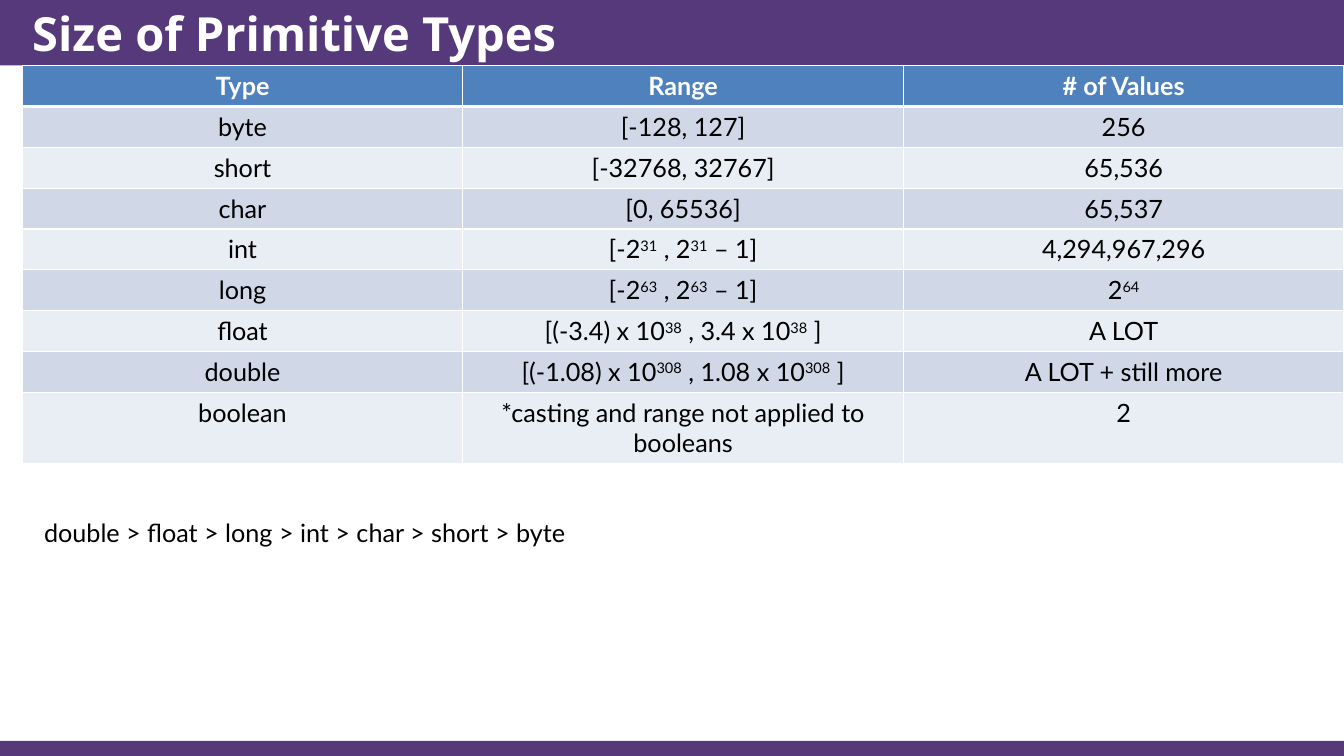
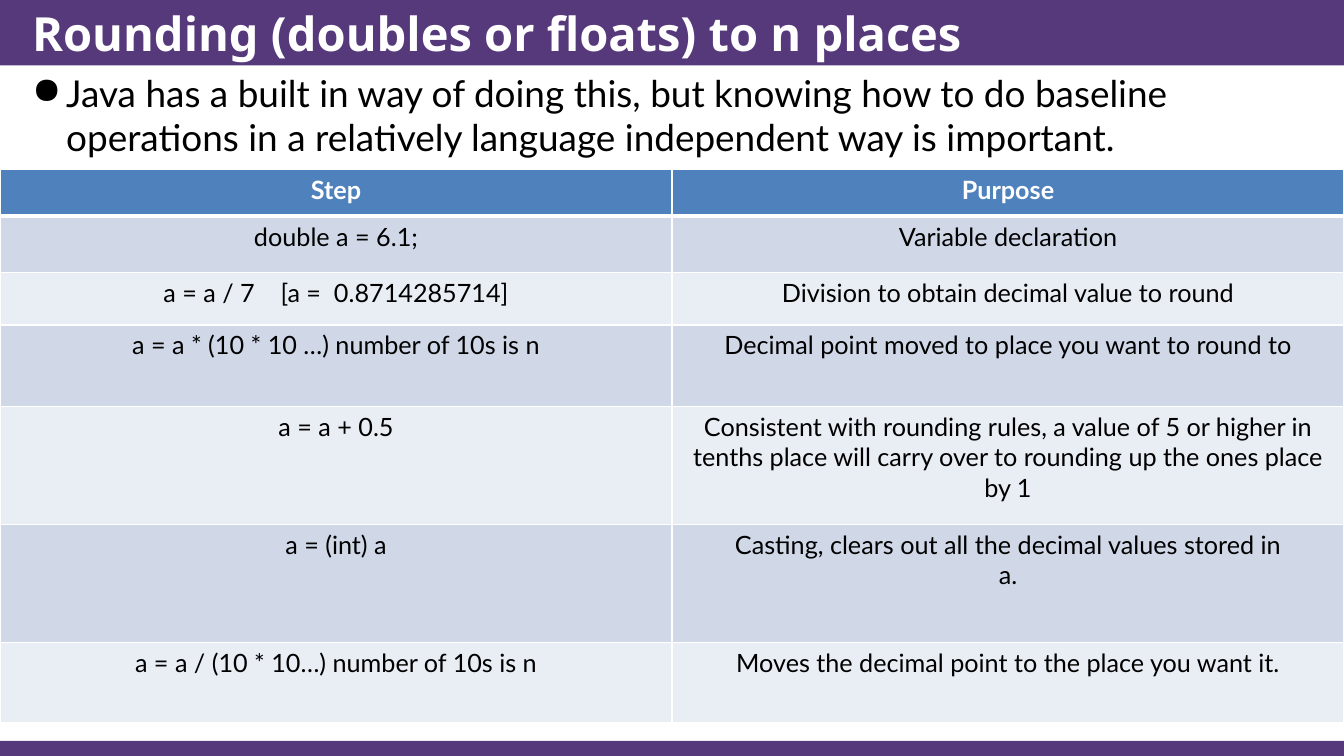
from lxml.etree import SubElement
from pptx import Presentation
from pptx.dml.color import RGBColor
from pptx.enum.shapes import MSO_SHAPE
from pptx.enum.text import MSO_ANCHOR, PP_ALIGN
from pptx.oxml.ns import qn
from pptx.util import Cm, Pt

COLORS = {
    "band": "56397B",
    "header": "4F81BD",
    "odd": "D0D8E8",
    "even": "E9EDF4",
    "white": "FFFFFF",
    "black": "000000",
}
TITLE_FONT, BODY_FONT = "Noto Sans", "Lato"
WIDTH, HEIGHT = Cm(33.87), Cm(19.05)
TITLE_H, FOOTER_H = Cm(1.65), Cm(0.38)
MARGIN = Cm(0.56)


def rgb(name):
    """Return the named colour."""
    return RGBColor.from_string(COLORS[name])


def write(tf, text, size, color="black", font=BODY_FONT, bold=False, align=None):
    """Fill a text frame: newlines part paragraphs, carets enclose superscripts."""
    for i, line in enumerate(text.split("\n")):
        p = tf.add_paragraph() if i else tf.paragraphs[0]
        p.alignment = align
        for j, part in enumerate(line.split("^")):
            if not part:
                continue
            r = p.add_run()
            r.text = part
            r.font.name, r.font.size, r.font.bold = font, Pt(size), bold
            r.font.color.rgb = rgb(color)
            if j % 2:
                r.font._element.set("baseline", "30000")


def add_text(slide, box, text, size, **style):
    """Add a wrapping text box and return its text frame."""
    tf = slide.shapes.add_textbox(*box).text_frame
    tf.word_wrap = True
    write(tf, text, size, **style)
    return tf


def add_bullet(slide, box, text):
    """Add a body text of one bulleted paragraph."""
    tf = add_text(slide, box, text, 26.4)
    pPr = tf.paragraphs[0]._p.get_or_add_pPr()
    indent = Cm(0.86)
    pPr.set("marL", str(indent))
    pPr.set("indent", str(-indent))
    SubElement(pPr, qn("a:buChar"), char="●")


def add_band(slide, top, height):
    """Add a full-width band."""
    sp = slide.shapes.add_shape(MSO_SHAPE.RECTANGLE, 0, top, WIDTH, height)
    sp.shadow.inherit = False
    sp.fill.solid()
    sp.fill.fore_color.rgb = rgb("band")
    sp.line.fill.background()


def add_slide(prs, title):
    """Add a blank slide with the footer band, title band and title."""
    slide = prs.slides.add_slide(prs.slide_layouts[6])
    add_band(slide, HEIGHT - FOOTER_H, FOOTER_H)
    add_band(slide, 0, TITLE_H)
    tf = add_text(slide, (MARGIN, 0, WIDTH - MARGIN, TITLE_H), title, 33.6,
                  color="white", font=TITLE_FONT, bold=True)
    tf.vertical_anchor = MSO_ANCHOR.MIDDLE
    return slide


def set_borders(cell, top, bottom):
    """Give a cell white borders; top and bottom are widths in points."""
    tcPr = cell._tc.get_or_add_tcPr()
    for side, width in (("L", 1), ("R", 1), ("T", top), ("B", bottom)):
        ln = SubElement(tcPr, qn(f"a:ln{side}"), w=str(Pt(width)))
        fill = SubElement(ln, qn("a:solidFill"))
        SubElement(fill, qn("a:srgbClr"), val=COLORS["white"])


def add_banded_table(slide, left, top, rows, heights):
    """Add a table with equal columns that reaches the right slide edge."""
    n_cols = len(rows[0])
    table = slide.shapes.add_table(len(rows), n_cols, left, top,
                                   WIDTH - left, Cm(sum(heights))).table
    for i, (texts, height) in enumerate(zip(rows, heights)):
        table.rows[i].height = Cm(height)
        band = "header" if i == 0 else "odd" if i % 2 else "even"
        for j, text in enumerate(texts):
            cell = table.cell(i, j)
            set_borders(cell, top=3 if i == 1 else 1, bottom=3 if i == 0 else 1)
            cell.fill.solid()
            cell.fill.fore_color.rgb = rgb(band)
            write(cell.text_frame, text, 18, bold=i == 0, align=PP_ALIGN.CENTER,
                  color="white" if i == 0 else "black")


def types_slide(prs):
    """Build the slide on the sizes of primitive types."""
    slide = add_slide(prs, "Size of Primitive Types")
    rows = [
        ("Type", "Range", "# of Values"),
        ("byte", "[-128, 127]", "256"),
        ("short", "[-32768, 32767]", "65,536"),
        ("char", "[0, 65536]", "65,537"),
        ("int", "[-2^31^ , 2^31^ – 1]", "4,294,967,296"),
        ("long", "[-2^63^ , 2^63^ – 1]", "2^64^"),
        ("float", "[(-3.4) x 10^38^ , 3.4 x 10^38^ ]", "A LOT"),
        ("double", "[(-1.08) x 10^308^ , 1.08 x 10^308^ ]", "A LOT + still more"),
        ("boolean", "*casting and range not applied to booleans", "2"),
    ]
    add_banded_table(slide, MARGIN, TITLE_H, rows, [1.03] * 8 + [1.78])
    add_text(slide, (Cm(0.86), Cm(12.9), Cm(31.4), Cm(1.02)),
             "double > float > long > int > char > short > byte", 18)


def rounding_slide(prs):
    """Build the slide on rounding to n places."""
    slide = add_slide(prs, "Rounding (doubles or floats) to n places")
    add_bullet(slide, (MARGIN, TITLE_H, WIDTH - MARGIN, Cm(16)),
               "Java has a built in way of doing this, but knowing how to do "
               "baseline operations in a relatively language independent way "
               "is important.")
    rows = [
        ("Step", "Purpose"),
        ("double a = 6.1;", "Variable declaration"),
        ("a = a / 7    [a =  0.8714285714]",
         "Division to obtain decimal value to round"),
        ("a = a * (10 * 10 …) number of 10s is n",
         "Decimal point moved to place you want to round to"),
        ("a = a + 0.5",
         "Consistent with rounding rules, a value of 5 or higher in tenths "
         "place will carry over to rounding up the ones place by 1"),
        ("a = (int) a",
         "Casting, clears out all the decimal values stored in\na."),
        ("a = a / (10 * 10…) number of 10s is n",
         "Moves the decimal point to the place you want it."),
    ]
    add_banded_table(slide, 0, Cm(4.27), rows,
                     [1.18, 1.42, 1.32, 2.06, 2.97, 2.97, 2.01])


prs = Presentation()
prs.slide_width, prs.slide_height = WIDTH, HEIGHT
types_slide(prs)
rounding_slide(prs)
prs.save("out.pptx")
